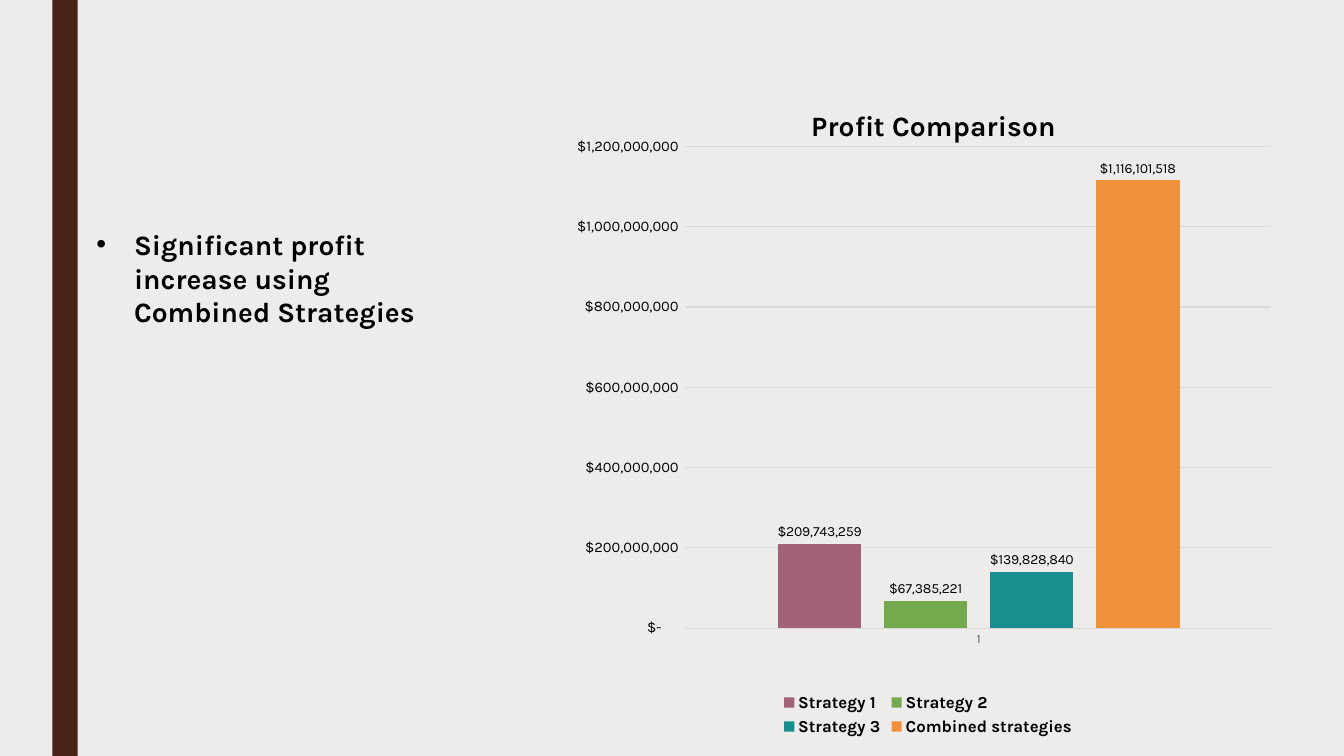
from lxml.etree import SubElement
from pptx import Presentation
from pptx.chart.data import CategoryChartData
from pptx.dml.color import RGBColor
from pptx.enum.chart import XL_CHART_TYPE, XL_LABEL_POSITION, XL_LEGEND_POSITION, XL_TICK_MARK
from pptx.enum.shapes import MSO_SHAPE
from pptx.oxml import parse_xml
from pptx.oxml.ns import nsdecls, qn
from pptx.util import Cm, Pt

FONT = "Karla"
DOLLARS = '_("$"* #,##0_);_("$"* \\(#,##0\\);_("$"* "-"??_);_(@_)'
STRATEGIES = [
    ("Strategy 1", 209743259, "A26176"),
    ("Strategy 2", 67385221, "74A94E"),
    ("Strategy 3", 139828840, "188E8D"),
    ("Combined strategies", 1116101518, "EE913A"),
]


def rgb(color):
    return RGBColor.from_string(color)


def set_font(font, size, color="000000", bold=False):
    font.name = FONT
    font.size = Pt(size)
    font.bold = bold
    font.color.rgb = rgb(color)


def set_line(line, color="D9D9D9"):
    line.color.rgb = rgb(color)
    line.width = Pt(0.75)


def set_layout(element, index, **settings):
    """Give a chart part a manual layout, in fractions of the chart."""
    for old in element.findall(qn("c:layout")):
        element.remove(old)
    layout = parse_xml(f'<c:layout {nsdecls("c")}><c:manualLayout/></c:layout>')
    for name, value in settings.items():
        SubElement(layout[0], qn(f"c:{name}")).set("val", str(value))
    element.insert(index, layout)


def add_side_bar(s, x, y, w, h):
    bar = s.shapes.add_shape(MSO_SHAPE.RECTANGLE, x, y, w, h)
    bar.shadow.inherit = False
    bar.fill.solid()
    bar.fill.fore_color.rgb = rgb("4A2318")
    bar.line.fill.background()


def add_finding(s, x, y, w, h):
    tf = s.shapes.add_textbox(x, y, w, h).text_frame
    tf.word_wrap = True
    p = tf.paragraphs[0]
    p.text = "Significant profit increase using Combined Strategies"
    set_font(p.font, 20, bold=True)
    pPr = p._p.get_or_add_pPr()
    indent = Cm(0.95)
    pPr.set("marL", str(indent))
    pPr.set("indent", str(-indent))
    bullet_font = parse_xml(f'<a:buFont {nsdecls("a")} typeface="Arial"/>')
    bullet = parse_xml(f'<a:buChar {nsdecls("a")} char="•"/>')
    pPr.insert_element_before(bullet_font, "a:defRPr")
    pPr.insert_element_before(bullet, "a:defRPr")


def style_axes(chart):
    cat, val = chart.category_axis, chart.value_axis
    for axis, size, color in ((cat, 9, "595959"), (val, 10.5, "000000")):
        axis.major_tick_mark = axis.minor_tick_mark = XL_TICK_MARK.NONE
        set_font(axis.tick_labels.font, size, color)
    set_line(cat.format.line)
    val.format.line.fill.background()
    val.minimum_scale, val.maximum_scale = 0, 1200000000
    val.major_unit = 200000000
    val.has_major_gridlines = True
    set_line(val.major_gridlines.format.line)
    val.tick_labels.number_format = DOLLARS
    val.tick_labels.number_format_is_linked = False


def add_profit_chart(s, x, y, w, h):
    data = CategoryChartData(number_format=DOLLARS)
    data.categories = ["1"]
    for name, profit, _ in STRATEGIES:
        data.add_series(name, [profit])
    chart = s.shapes.add_chart(XL_CHART_TYPE.COLUMN_CLUSTERED, x, y, w, h, data).chart
    set_font(chart.font, 10)

    chart.has_title = True
    p = chart.chart_title.text_frame.paragraphs[0]
    p.text = "Profit Comparison"
    set_font(p.font, 20, bold=True)
    set_layout(chart.chart_title._element, 1, xMode="edge", yMode="edge", x=0.33, y=0.04)

    chart.has_legend = True
    chart.legend.position = XL_LEGEND_POSITION.BOTTOM
    chart.legend.include_in_layout = False
    set_font(chart.legend.font, 12, bold=True)

    style_axes(chart)
    plot = chart.plots[0]
    plot.gap_width, plot.overlap = 219, -27
    plot.vary_by_categories = False
    for series, (_, _, color) in zip(plot.series, STRATEGIES):
        series.invert_if_negative = False
        series.format.fill.solid()
        series.format.fill.fore_color.rgb = rgb(color)
        labels = series.data_labels
        labels.show_value = True
        labels.position = XL_LABEL_POSITION.OUTSIDE_END
        labels.number_format = DOLLARS
        labels.number_format_is_linked = False
        set_font(labels.font, 10)
    plot_area = chart._chartSpace.chart.plotArea
    set_layout(plot_area, 0, layoutTarget="inner", xMode="edge", yMode="edge",
               x=0.163, y=0.107, w=0.815, h=0.724)


def main():
    prs = Presentation()
    prs.slide_width, prs.slide_height = Cm(33.87), Cm(19.05)
    s = prs.slides.add_slide(prs.slide_layouts[6])
    s.background.fill.solid()
    s.background.fill.fore_color.rgb = rgb("EDECEB")
    add_side_bar(s, Cm(1.32), 0, Cm(0.64), prs.slide_height)
    add_profit_chart(s, Cm(14.35), Cm(1.9), Cm(18.08), Cm(16.76))
    add_finding(s, Cm(2.18), Cm(5.61), Cm(9.7), Cm(1.96))
    prs.save("out.pptx")


if __name__ == "__main__":
    main()
